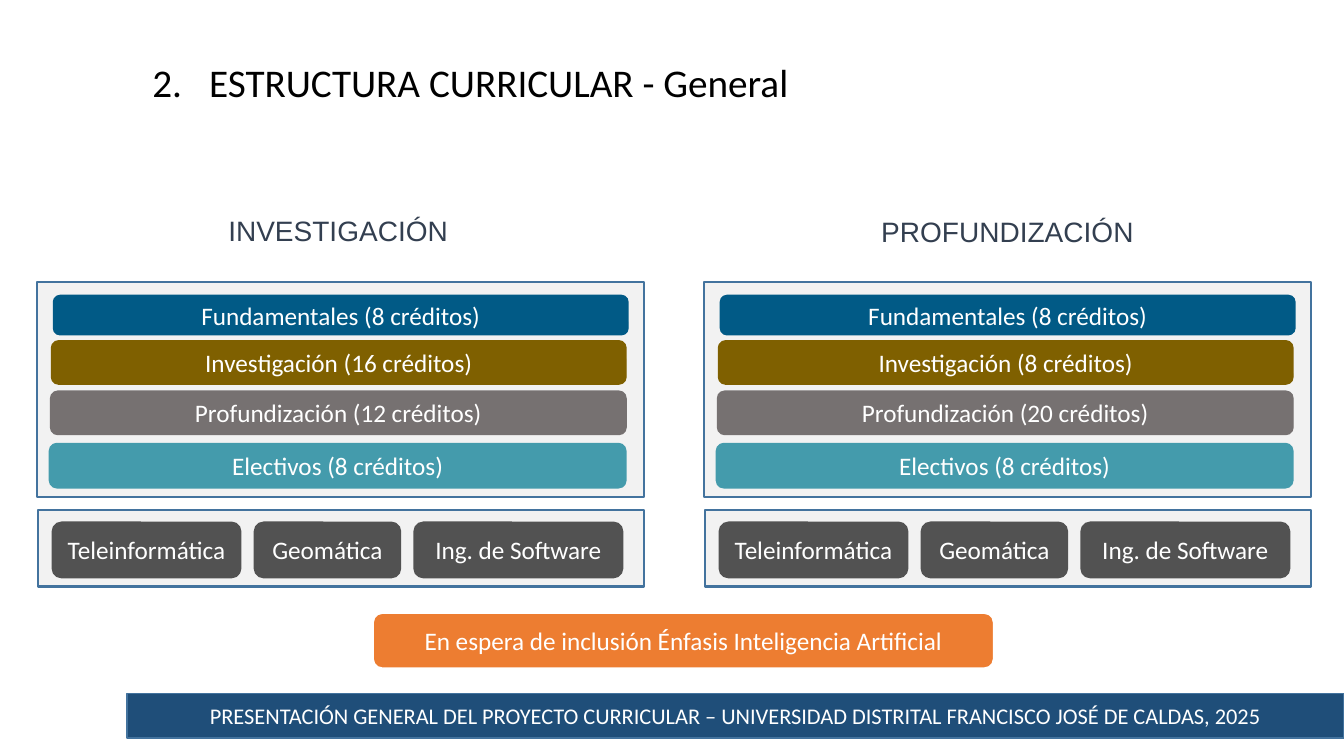
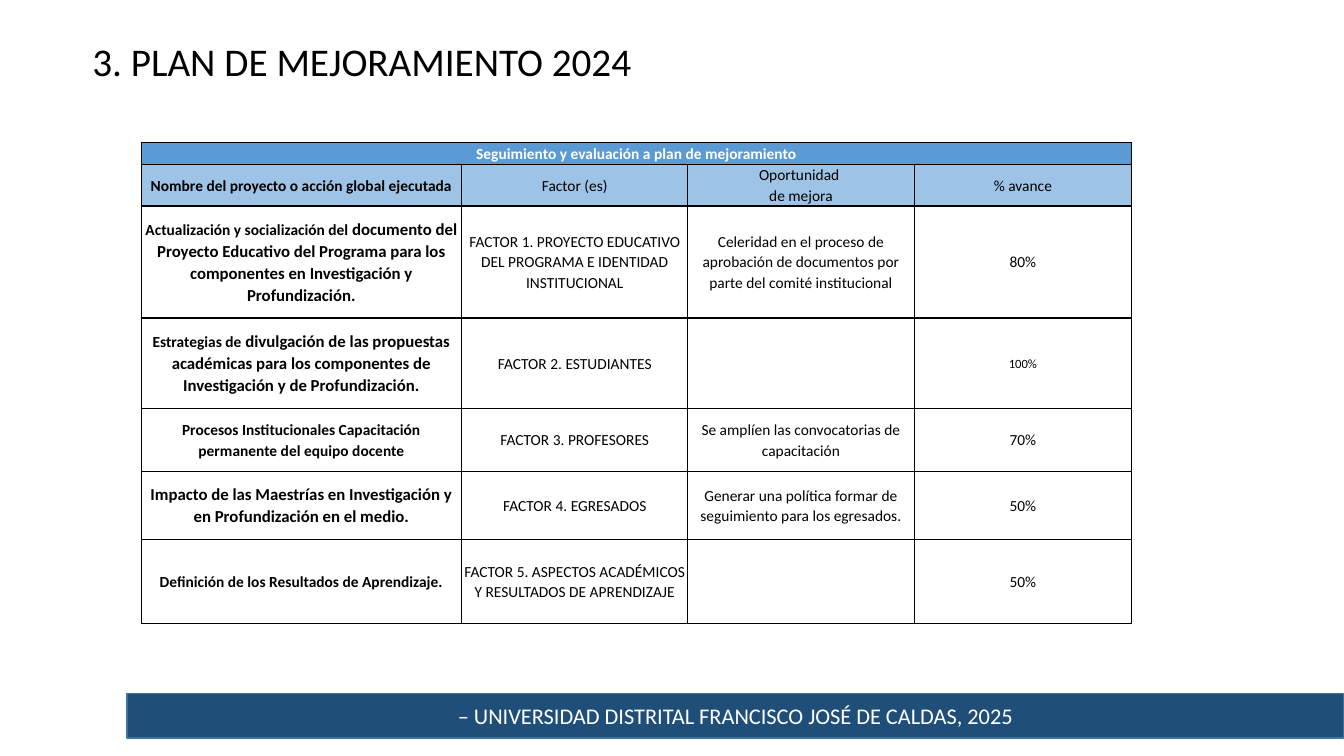
from pptx import Presentation
from pptx.dml.color import RGBColor
from pptx.enum.shapes import MSO_SHAPE as Preset
from pptx.enum.text import MSO_ANCHOR as Anchor, MSO_AUTO_SIZE as AutoSize, PP_ALIGN as Align
from pptx.oxml.ns import qn
from pptx.util import Pt
from lxml.etree import SubElement

COLORS = {
    "white": "FFFFFF", "black": "000000", "heading": "333F50",
    "panel": "F2F2F2", "edge": "43739E", "footer": "1F4E79",
    "core": "015A86", "research": "7F6000", "depth": "767171",
    "elective": "449BAC", "emphasis": "525252", "notice": "ED7D31",
    "table_title": "5B9BD5", "table_head": "9DC3E6",
}
BLANK = 6


def rgb(name):
    return RGBColor.from_string(COLORS[name])


class Deck:
    """Holds the shared style and the slide being built."""

    def __init__(self):
        self.file = Presentation()
        self.file.slide_width, self.file.slide_height = Pt(960), Pt(540)
        self.slide = None

    def new_slide(self, footer):
        self.slide = self.file.slides.add_slide(self.file.slide_layouts[BLANK])
        self.box((90.7, 495.4, 869.3, 31.7), "footer", footer, edge="edge", size=16)

    def style(self, paragraph, size, color, face="Calibri", bold=False):
        paragraph.alignment = Align.CENTER
        font = paragraph.font
        font.name, font.size, font.bold = face, Pt(size), bold
        font.color.rgb = rgb(color)

    def box(self, place, fill, text="", edge=None, weight=1, size=18, preset=Preset.RECTANGLE):
        shape = self.slide.shapes.add_shape(preset, *map(Pt, place))
        shape.shadow.inherit = False
        shape.fill.solid()
        shape.fill.fore_color.rgb = rgb(fill)
        shape.line.color.rgb = rgb(edge or fill)
        shape.line.width = Pt(weight)
        if text:
            frame = shape.text_frame
            frame.word_wrap = True
            frame.vertical_anchor = Anchor.MIDDLE
            frame.text = text
            self.style(frame.paragraphs[0], size, "white")

    def pill(self, place, fill, text, **line):
        self.box(place, fill, text, preset=Preset.ROUNDED_RECTANGLE, **line)

    def panel(self, place):
        self.box(place, "panel", edge="edge", weight=1.5)

    def label(self, place, text, size, color, face="Calibri", number=None):
        frame = self.slide.shapes.add_textbox(*map(Pt, place)).text_frame
        frame.word_wrap = True
        frame.auto_size = AutoSize.SHAPE_TO_FIT_TEXT
        frame.text = text
        paragraph = frame.paragraphs[0]
        if number:
            props = paragraph._p.get_or_add_pPr()
            props.set("marL", str(Pt(40.5)))
            props.set("indent", str(-Pt(40.5)))
            SubElement(props, qn("a:buAutoNum"), type="arabicPeriod", startAt=str(number))
        self.style(paragraph, size, color, face)

    def title(self, place, text, number=None):
        self.label(place, text, 28, "black", number=number)

    def table(self, place, widths, heights):
        grid = self.slide.shapes.add_table(len(heights), len(widths), *map(Pt, place)).table
        for column, width in zip(grid.columns, widths):
            column.width = Pt(width)
        for row, height in zip(grid.rows, heights):
            row.height = Pt(height)
        return grid

    def cell(self, cell, runs, fill=None, color="black", bold=False, after=0):
        """Fill a cell with (text, size) runs."""
        cell.margin_left = cell.margin_right = cell.margin_top = cell.margin_bottom = 0
        cell.vertical_anchor = Anchor.MIDDLE
        props = cell._tc.get_or_add_tcPr()
        for side in ("lnL", "lnR", "lnT", "lnB"):
            border = SubElement(props, qn(f"a:{side}"), w=str(Pt(1)))
            paint = SubElement(border, qn("a:solidFill"))
            SubElement(paint, qn("a:srgbClr"), val=COLORS["black"])
        if fill:
            cell.fill.solid()
            cell.fill.fore_color.rgb = rgb(fill)
        else:
            cell.fill.background()
        paragraph = cell.text_frame.paragraphs[0]
        paragraph.line_spacing = 1.07
        paragraph.space_after = Pt(after)
        if len(runs) == 1:
            paragraph.text = runs[0][0]
        else:
            for text, size in runs:
                run = paragraph.add_run()
                run.text, run.font.size = text, Pt(size)
        self.style(paragraph, runs[0][1], color, bold=bold)


# Curriculum: the two tracks share one layout
TRACK_STEP = 476.4
TRACKS = [("INVESTIGACIÓN", 25.2, 149, 16, 12), ("PROFUNDIZACIÓN", 503.3, 149.8, 8, 20)]
EMPHASES = [("Teleinformática", 134.6), ("Geomática", 104.4), ("Ing. de Software", 149)]
EMPHASIS_GAP = 9.7


def curriculum(deck):
    deck.new_slide("PRESENTACIÓN GENERAL DEL PROYECTO CURRICULAR – UNIVERSIDAD DISTRITAL "
                   "FRANCISCO JOSÉ DE CALDAS, 2025")
    deck.title((46.1, 38.2, 579.6, 41), "ESTRUCTURA CURRICULAR - General", number=2)
    for index, (track, heading_left, heading_top, research, depth) in enumerate(TRACKS):
        shift = index * TRACK_STEP
        deck.label((heading_left, heading_top, 432.7, 31), track, 20, "heading", "Arial")

        # Credits by component
        deck.panel((26.6 + shift, 201.6, 433.4, 153.4))
        for name, credits, color, left, top, width, height in [
            ("Fundamentales", 8, "core", 38.2, 211, 410.4, 28.1),
            ("Investigación", research, "research", 36.8, 243.4, 410.4, 31),
            ("Profundización", depth, "depth", 36.1, 279.4, 411.1, 31),
            ("Electivos", 8, "elective", 35.3, 316.8, 411.8, 31.7),
        ]:
            deck.pill((left + shift, top, width, height), color, f"{name} ({credits} créditos)")

        # Emphases
        deck.panel((27.2 + shift, 364.3, 432.7, 54.7))
        left = 37.4 + shift
        for name, width in EMPHASES:
            deck.pill((left, 373, width, 39.6), "emphasis", name)
            left += width + EMPHASIS_GAP

    deck.pill((266.4, 437.8, 443.5, 39.6), "notice",
              "En espera de inclusión Énfasis Inteligencia Artificial", edge="white", weight=1.5)


# Improvement plan: action runs, factor, opportunity, progress and its size
HEADS = ["Nombre del proyecto o acción global ejecutada", "Factor (es)",
         "Oportunidad \vde mejora", "% avance"]
ACTIONS = [
    ([("Actualización y socialización del ", 11),
      ("documento del Proyecto Educativo del Programa para los componentes en "
       "Investigación y Profundización.", 12)],
     "FACTOR 1. PROYECTO EDUCATIVO DEL PROGRAMA E IDENTIDAD INSTITUCIONAL",
     "Celeridad en el proceso de aprobación de documentos por parte del comité institucional",
     ("80%", 11)),
    ([("Estrategias de", 11),
      (" divulgación de las propuestas académicas para los componentes de "
       "Investigación y de Profundización.", 12)],
     "FACTOR 2. ESTUDIANTES", "", ("100%", 9)),
    ([("Procesos Institucionales Capacitación permanente del equipo docente", 11)],
     "FACTOR 3. PROFESORES", "Se amplíen las convocatorias de capacitación", ("70%", 11)),
    ([("Impacto de las Maestrías en Investigación y en Profundización en el medio.", 12)],
     "FACTOR 4. EGRESADOS", "Generar una política formar de seguimiento para los egresados.",
     ("50%", 11)),
    ([("Definición de los Resultados de Aprendizaje.", 11)],
     "FACTOR 5. ASPECTOS ACADÉMICOS Y RESULTADOS DE APRENDIZAJE", "", ("50%", 11)),
]


def improvement_plan(deck):
    deck.new_slide("– UNIVERSIDAD DISTRITAL FRANCISCO JOSÉ DE CALDAS, 2025")
    deck.title((30.2, 23, 456.5, 41), "3. PLAN DE MEJORAMIENTO 2024")
    plan = deck.table((100.8, 101.5, 707.8, 343.4), [229, 161.6, 161.6, 155.5],
                      [15.8, 29.9, 80, 64.8, 44.6, 49, 59.8])

    # Heading rows
    plan.cell(0, 0).merge(plan.cell(0, len(HEADS) - 1))
    for column, head in enumerate(HEADS):
        banner = "" if column else "Seguimiento y evaluación a plan de mejoramiento"
        deck.cell(plan.cell(0, column), [(banner, 11)], "table_title", "white", bold=True)
        deck.cell(plan.cell(1, column), [(head, 11)], "table_head", bold=column == 0)

    # One row per action
    for row, (action, factor, opportunity, progress) in enumerate(ACTIONS, start=2):
        deck.cell(plan.cell(row, 0), action, bold=True, after=8)
        deck.cell(plan.cell(row, 1), [(factor, 11)], after=8)
        deck.cell(plan.cell(row, 2), [(opportunity, 11)])
        deck.cell(plan.cell(row, 3), [progress])


def main():
    deck = Deck()
    curriculum(deck)
    improvement_plan(deck)
    deck.file.save("out.pptx")


if __name__ == "__main__":
    main()
